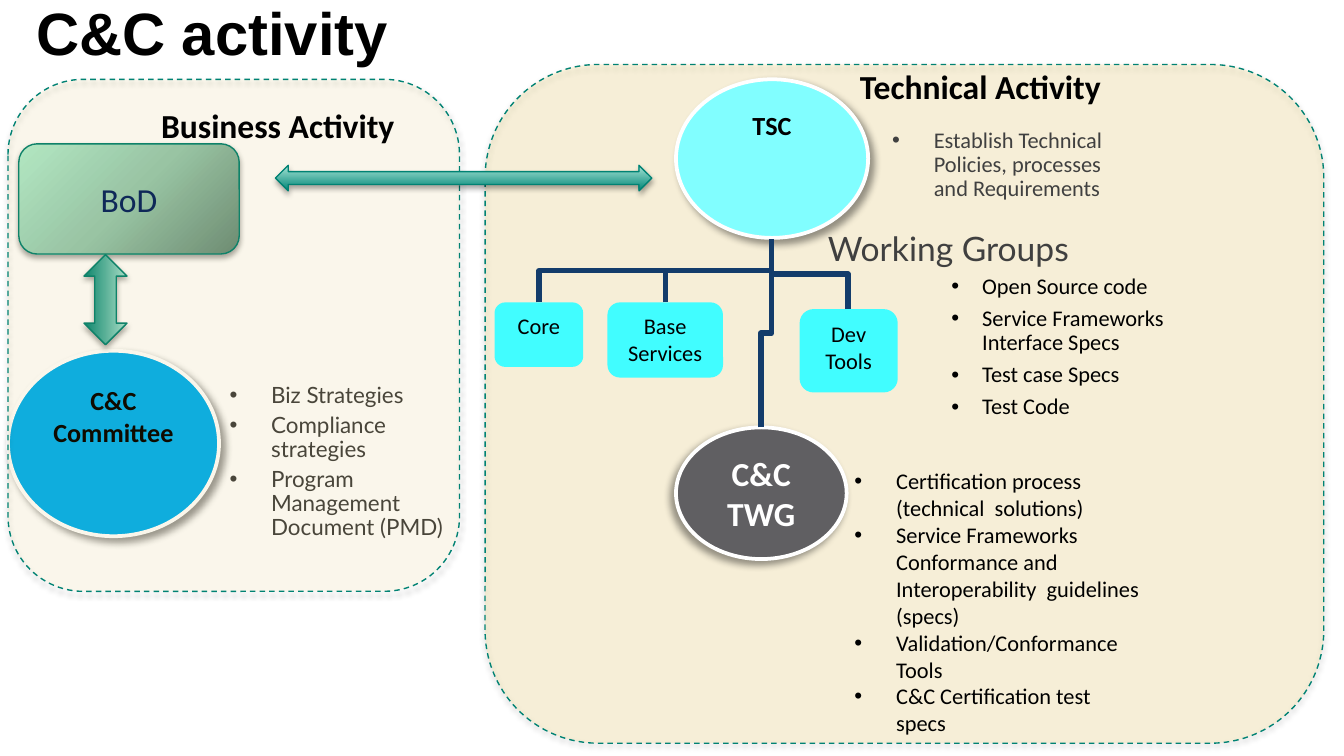
from lxml.etree import SubElement
from pptx import Presentation
from pptx.dml.color import RGBColor
from pptx.enum.dml import MSO_LINE
from pptx.enum.shapes import MSO_CONNECTOR, MSO_SHAPE
from pptx.enum.text import MSO_ANCHOR, MSO_AUTO_SIZE, PP_ALIGN
from pptx.oxml.ns import qn
from pptx.util import Inches, Pt

COLORS = {
    "black": "000000", "white": "FFFFFF", "gray": "404040", "navy": "002060",
    "amber": "FFC000", "blue": "00B0F0", "aqua": "81FEFF", "cyan": "41FDFF",
    "slate": "605F62", "teal": "008273", "connector": "133C6B",
    "arrow dark": "008576", "arrow light": "A7E4D6",
    "board dark": "698D7D", "board mid": "96C9B2", "board light": "B2EFD3",
}
SOFT = (35, 3.1, 1.8, 90)
RAISED = (40, 4, 3, 45)
RAISED_LEFT = (40, 4, 3, 135)
ARROW_STOPS = ((0, "arrow dark"), (100, "arrow light"))
BOARD_STOPS = ((0, "board dark"), (50, "board mid"), (100, "board light"))


def add_figure(kind, place, fill, line=None, width=0.75, shadow=None, alpha=None, stops=None):
    shape = page.shapes.add_shape(kind, *[Inches(value) for value in place])
    shape.shadow.inherit = False
    properties = shape._element.spPr
    shape.fill.solid()
    shape.fill.fore_color.rgb = RGBColor.from_string(COLORS[fill])
    solid = properties.find(qn("a:solidFill"))
    if alpha:
        SubElement(solid[0], qn("a:alpha"), val=str(alpha * 1000))
    if stops:
        gradient = SubElement(properties, qn("a:gradFill"), rotWithShape="1")
        stop_list = SubElement(gradient, qn("a:gsLst"))
        for position, name in stops:
            stop = SubElement(stop_list, qn("a:gs"), pos=str(position * 1000))
            SubElement(stop, qn("a:srgbClr"), val=COLORS[name])
        if stops is BOARD_STOPS:
            focus = SubElement(gradient, qn("a:path"), path="circle")
            SubElement(focus, qn("a:fillToRect"), l="100000", t="100000", r="0", b="0")
        else:
            SubElement(gradient, qn("a:lin"), ang="16200000", scaled="0")
        properties.replace(solid, gradient)
    if line:
        shape.line.color.rgb = RGBColor.from_string(COLORS[line])
        shape.line.width = Pt(width)
    else:
        shape.line.fill.background()
    if alpha:
        shape.line.dash_style = MSO_LINE.DASH
    if shadow:
        opacity, blur, distance, angle = shadow
        outer = SubElement(properties.find(qn("a:effectLst")), qn("a:outerShdw"),
                           blurRad=str(Pt(blur)), dist=str(Pt(distance)),
                           dir=str(angle * 60000), rotWithShape="0")
        color = SubElement(outer, qn("a:srgbClr"), val=COLORS["black"])
        SubElement(color, qn("a:alpha"), val=str(opacity * 1000))
    return shape


def add_text(target, lines, size, color="black", font="Calibri", bold=False, align=PP_ALIGN.LEFT,
             anchor=MSO_ANCHOR.TOP, wrap=True, indent=None, spacing=None, after=None):
    box = target
    if isinstance(target, tuple):
        box = page.shapes.add_textbox(*[Inches(value) for value in target])
        box.text_frame.auto_size = MSO_AUTO_SIZE.SHAPE_TO_FIT_TEXT
    frame = box.text_frame
    frame.word_wrap = wrap
    frame.vertical_anchor = anchor
    for index, line in enumerate(lines):
        para = frame.add_paragraph() if index else frame.paragraphs[0]
        para.alignment = align
        if spacing:
            para.line_spacing = spacing
        if after:
            para.space_after = Pt(after)
        if indent:
            layout = para._p.get_or_add_pPr()
            layout.set("marL", str(Inches(indent)))
            layout.set("indent", str(-Inches(indent)))
            SubElement(layout, qn("a:buFont"), typeface="Arial")
            SubElement(layout, qn("a:buChar"), char="•")
        span = para.add_run()
        span.text = line
        span.font.size = Pt(size)
        span.font.name = font
        span.font.bold = bold
        span.font.color.rgb = RGBColor.from_string(COLORS[color])
    return box


deck = Presentation()
deck.slide_width, deck.slide_height = Inches(10), Inches(10 * 9 / 16)
page = deck.slides.add_slide(deck.slide_layouts[6])

add_figure(MSO_SHAPE.ROUNDED_RECTANGLE, (3.61, 0.48, 6.24, 5.05), "amber", "teal",
           shadow=SOFT, alpha=12)
title = add_text((0.17, -0.08, 9.1, 0.86), ["C&C activity"], 32, font="Arial", bold=True)
title.text_frame.auto_size = MSO_AUTO_SIZE.NONE

committee = add_figure(MSO_SHAPE.OVAL, (0.06, 2.61, 1.57, 1.38), "blue", "white", 2, RAISED)
add_text(committee, ["C&C", "Committee"], 14, bold=True, align=PP_ALIGN.CENTER)
add_text((1.61, 2.81, 1.9, 1.28),
         ["Biz Strategies", "Compliance strategies", "Program Management Document (PMD)"],
         12, "gray", "Lato", indent=0.31, spacing=0.9, after=3)

steering = add_figure(MSO_SHAPE.OVAL, (5.03, 0.59, 1.43, 1.18), "aqua", "white", 2, RAISED)
add_text(steering, ["TSC"], 14, bold=True, align=PP_ALIGN.CENTER)
add_text((6.54, 0.91, 2.03, 0.65),
         ["Establish Technical Policies, processes and Requirements"],
         12, "gray", indent=0.31, spacing=0.9, after=3)

board = add_figure(MSO_SHAPE.ROUNDED_RECTANGLE, (0.14, 1.07, 1.64, 0.82), "board mid", "teal",
                   shadow=SOFT, stops=BOARD_STOPS)
add_text(board, ["BoD"], 18, "navy", align=PP_ALIGN.CENTER, anchor=MSO_ANCHOR.MIDDLE)
board_arrow = add_figure(MSO_SHAPE.LEFT_RIGHT_ARROW, (0.45, 2.07, 0.67, 0.32), "arrow dark",
                         "teal", shadow=SOFT, stops=ARROW_STOPS)
board_arrow.rotation = 90

add_text((6.26, 3.43, 2.36, 2.12),
         ["Certification process (technical  solutions)",
          "Service Frameworks Conformance and Interoperability  guidelines (specs)",
          "Validation/Conformance Tools", "C&C Certification test specs"],
         12, indent=0.31)

add_figure(MSO_SHAPE.ROUNDED_RECTANGLE, (0.06, 0.59, 3.36, 3.81), "amber", "teal",
           shadow=SOFT, alpha=6)
add_text((6.3, 0.44, 2.01, 0.4), ["Technical Activity"], 18, bold=True, wrap=False)
add_text((1.1, 0.73, 1.95, 0.4), ["Business Activity"], 18, bold=True, wrap=False)
add_figure(MSO_SHAPE.LEFT_RIGHT_ARROW, (2.05, 1.23, 2.8, 0.19), "arrow dark", "teal",
           shadow=SOFT, stops=ARROW_STOPS)

certification = add_figure(MSO_SHAPE.OVAL, (5.03, 3.18, 1.27, 0.98), "slate", "white", 2,
                           RAISED_LEFT)
add_text(certification, ["C&C", "TWG"], 18, "white", bold=True, align=PP_ALIGN.CENTER,
         anchor=MSO_ANCHOR.MIDDLE)

for place, lines in (
    ((3.68, 2.25, 0.66, 0.48), ["Core"]),
    ((4.52, 2.25, 0.86, 0.56), ["Base Services"]),
    ((5.95, 2.3, 0.73, 0.62), ["Dev", "Tools"]),
):
    group = add_figure(MSO_SHAPE.ROUNDED_RECTANGLE, place, "cyan")
    add_text(group, lines, 12, align=PP_ALIGN.CENTER)

trunk_x, trunk_y = 5.74, 1.78
for child_x, child_y in ((4.01, 2.25), (4.95, 2.25), (6.31, 2.3), (5.66, 3.18)):
    drop, reach = child_y - trunk_y, abs(child_x - trunk_x)
    left = (child_x + trunk_x - drop) / 2
    top = (child_y + trunk_y - reach) / 2
    start_x, end_x, angle = left + drop, left, 90
    if child_x > trunk_x:
        start_x, end_x, angle = left, left + drop, 270
    branch = page.shapes.add_connector(MSO_CONNECTOR.ELBOW, Inches(start_x), Inches(top + reach),
                                       Inches(end_x), Inches(top))
    branch.line.color.rgb = RGBColor.from_string(COLORS["connector"])
    branch.line.width = Pt(3)
    branch._element.spPr.find(qn("a:xfrm")).set("rot", str(angle * 60000))
    SubElement(branch._element.spPr, qn("a:effectLst"))

add_text((6.98, 2, 1.86, 1.22),
         ["Open Source code", "Service Frameworks Interface Specs", "Test case Specs", "Test Code"],
         12, indent=0.23, spacing=0.9, after=4.2)
working_groups = add_text((6.08, 1.69, 1.97, 0.35), ["Working Groups"], 18, "gray", "Lato",
                          wrap=False, spacing=0.9, after=2.2)
working_groups.text_frame.margin_left = working_groups.text_frame.margin_right = Inches(0.08)
working_groups.text_frame.margin_top = working_groups.text_frame.margin_bottom = Inches(0.04)

deck.save("out.pptx")
